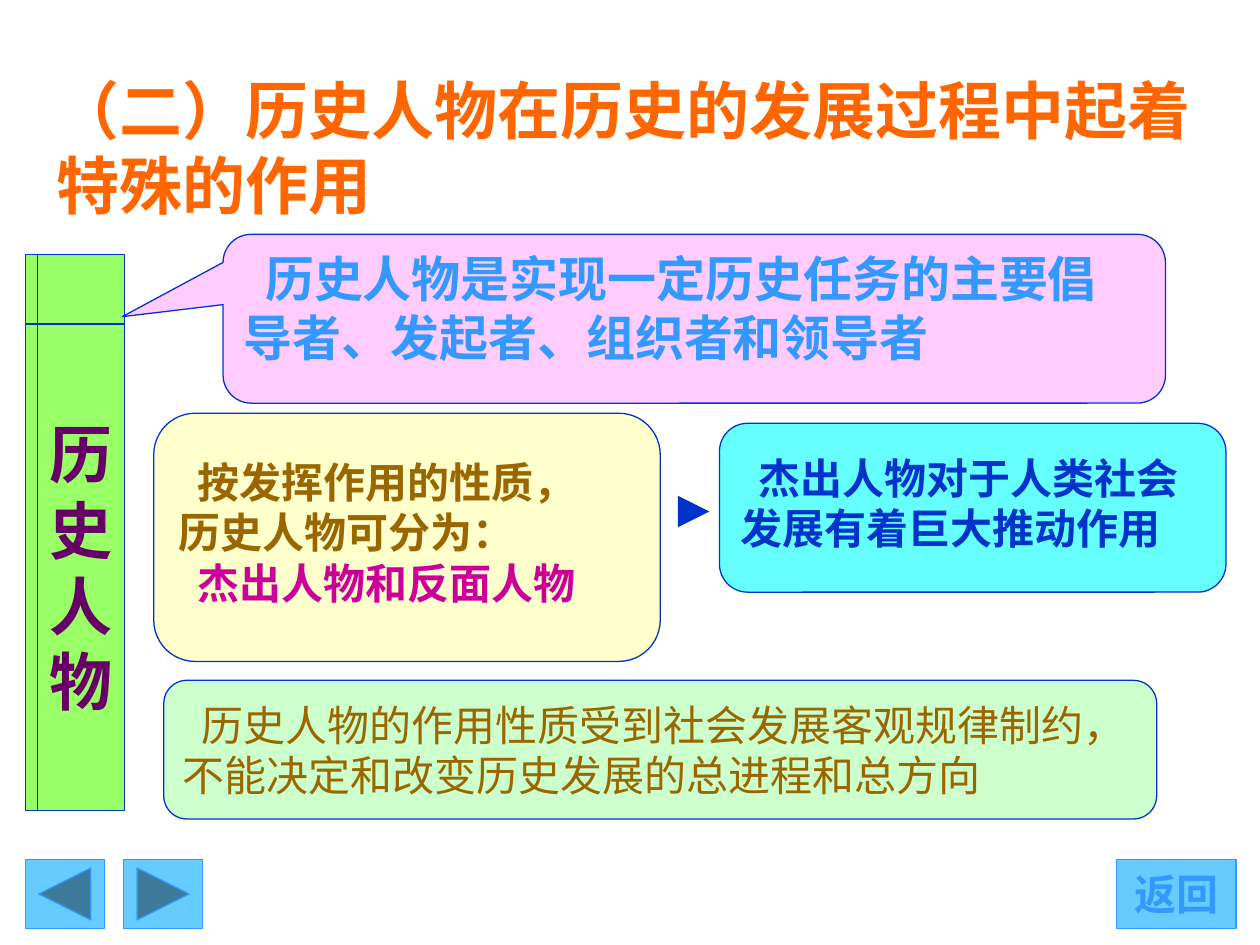
import pptx
import pptx.util
import pptx.dml.color
import pptx.enum.shapes
import pptx.enum.text
import pptx.oxml
import pptx.oxml.ns

Inches = pptx.util.Inches
Pt = pptx.util.Pt
SHAPE = pptx.enum.shapes.MSO_SHAPE
ALIGN = pptx.enum.text.PP_ALIGN
ANCHOR = pptx.enum.text.MSO_ANCHOR

CJK = "Noto Sans CJK SC"
CJK_ALT = "Noto Sans CJK JP"
BLUE = "0033CC"
SKY = "3399FF"
BROWN = "996600"


def rgb(value):
    return pptx.dml.color.RGBColor.from_string(value)


def drawing_element(tag, **attributes):
    element = pptx.oxml.parse_xml(f"<a:{tag} {pptx.oxml.ns.nsdecls('a')}/>")
    for name, value in attributes.items():
        element.set(name, value)
    return element


def add_span(para, text, size, color, bold=True, font=CJK, east_asian=None):
    span = para.add_run()
    span.text = text
    span.font.size = Pt(size)
    span.font.bold = bold
    span.font.name = font
    span.font.color.rgb = rgb(color)
    span._r.get_or_add_rPr().append(drawing_element("ea", typeface=east_asian or font))


def add_box(page, kind, box, fill, line=BLUE):
    shape = page.shapes.add_shape(kind, *map(Inches, box))
    shape.shadow.inherit = False
    shape.fill.solid()
    shape.fill.fore_color.rgb = rgb(fill)
    shape.line.color.rgb = rgb(line)
    shape.line.width = Pt(0.75)
    return shape


def write_lines(shape, lines, size, bold=True, font=CJK, align=ALIGN.LEFT,
                anchor=ANCHOR.MIDDLE, wrap=True, pitch=1.2, gap=0):
    """Fill a shape with lines given as (text, colour, first-line indent)."""
    frame = shape.text_frame
    frame.word_wrap = wrap
    frame.vertical_anchor = anchor
    for index, (text, color, indent) in enumerate(lines):
        para = frame.paragraphs[0] if index == 0 else frame.add_paragraph()
        para.alignment = align
        para.line_spacing = Pt(round(size * pitch, 1))
        para.space_before = Pt(gap if index else 0)
        if indent:
            para._p.get_or_add_pPr().set("indent", str(Inches(indent)))
        add_span(para, text, size, color, bold, font)


def add_title(page, box):
    title = page.shapes.title
    title.left, title.top, title.width, title.height = map(Inches, box)
    frame = title.text_frame
    frame.word_wrap = True
    frame.vertical_anchor = ANCHOR.MIDDLE
    para = frame.paragraphs[0]
    para.alignment = ALIGN.LEFT
    para.line_spacing = Pt(43.2)
    add_span(para, "（二）历史人物在历史的发展过程中起着特殊的作用", 36, "FF6600",
             font="Arial", east_asian=CJK)


def add_topic_bar(page, box):
    bar = add_box(page, SHAPE.FLOWCHART_INTERNAL_STORAGE, box, "99FF66")
    write_lines(bar, [(letter, "660066", 0) for letter in "历史人物"], 36,
                font=CJK_ALT, align=ALIGN.CENTER, wrap=False)


def add_callout(page, box):
    callout = add_box(page, SHAPE.ROUNDED_RECTANGULAR_CALLOUT, box, "FFCCFF")
    for index, value in enumerate((-0.607, -0.012, 0.167)):
        callout.adjustments[index] = value
    text = "历史人物是实现一定历史任务的主要倡导者、发起者、组织者和领导者"
    write_lines(callout, [(text, SKY, 0.17)], 28, anchor=ANCHOR.TOP)


def add_panel(page, box, fill, lines, **style):
    panel = add_box(page, SHAPE.ROUNDED_RECTANGLE, box, fill)
    write_lines(panel, lines, 24, **style)


def add_arrow(page, start, end, y):
    arrow = page.shapes.add_connector(pptx.enum.shapes.MSO_CONNECTOR.STRAIGHT,
                                      Inches(start), Inches(y), Inches(end), Inches(y))
    arrow.line.color.rgb = rgb(BLUE)
    arrow.line.width = Pt(6)
    arrow.line._get_or_add_ln().append(drawing_element("tailEnd", type="triangle"))
    arrow._element.spPr.append(drawing_element("effectLst"))


def add_navigation(page, box):
    left, top, width, height = box
    small, wide = 0.63, 0.95
    buttons = (
        (SHAPE.ACTION_BUTTON_BACK_OR_PREVIOUS, left, small, ""),
        (SHAPE.ACTION_BUTTON_FORWARD_OR_NEXT, left + 0.78, small, ""),
        (SHAPE.ACTION_BUTTON_CUSTOM, left + width - wide, wide, "返回"),
    )
    for kind, x, button_width, label in buttons:
        button = add_box(page, kind, (x, top, button_width, height), "66CCFF", SKY)
        if label:
            write_lines(button, [(label, SKY, 0)], 24, font=CJK_ALT,
                        align=ALIGN.CENTER, wrap=False)


def main():
    deck = pptx.Presentation()
    deck.slide_width, deck.slide_height = Inches(10), Inches(7.5)
    page = deck.slides.add_slide(deck.slide_layouts[5])
    add_navigation(page, (0.2, 6.82, 9.61, 0.55))
    add_title(page, (0.35, 0.44, 9.34, 1.45))
    add_topic_bar(page, (0.2, 2.02, 0.79, 4.41))
    add_callout(page, (1.77, 1.86, 7.48, 1.34))
    tight = {"pitch": 0.95, "gap": 6}
    add_panel(page, (1.22, 3.28, 4.02, 1.97), "FFFFCC", [
        ("按发挥作用的性质，", BROWN, 0.15),
        ("历史人物可分为：", BROWN, 0),
        ("杰出人物和反面人物", "CC0099", 0.15),
    ], **tight)
    add_panel(page, (5.71, 3.36, 4.02, 1.34), "66FFFF", [
        ("杰出人物对于人类社会", BLUE, 0.15),
        ("发展有着巨大推动作用", BLUE, 0),
    ], **tight)
    add_panel(page, (1.3, 5.4, 7.88, 1.1), "CCFFCC", [
        ("历史人物的作用性质受到社会发展客观规律制约，", BROWN, 0.15),
        ("不能决定和改变历史发展的总进程和总方向", BROWN, 0),
    ], bold=False)
    add_arrow(page, 5.39, 5.63, 4.06)
    deck.save("out.pptx")


if __name__ == "__main__":
    main()
